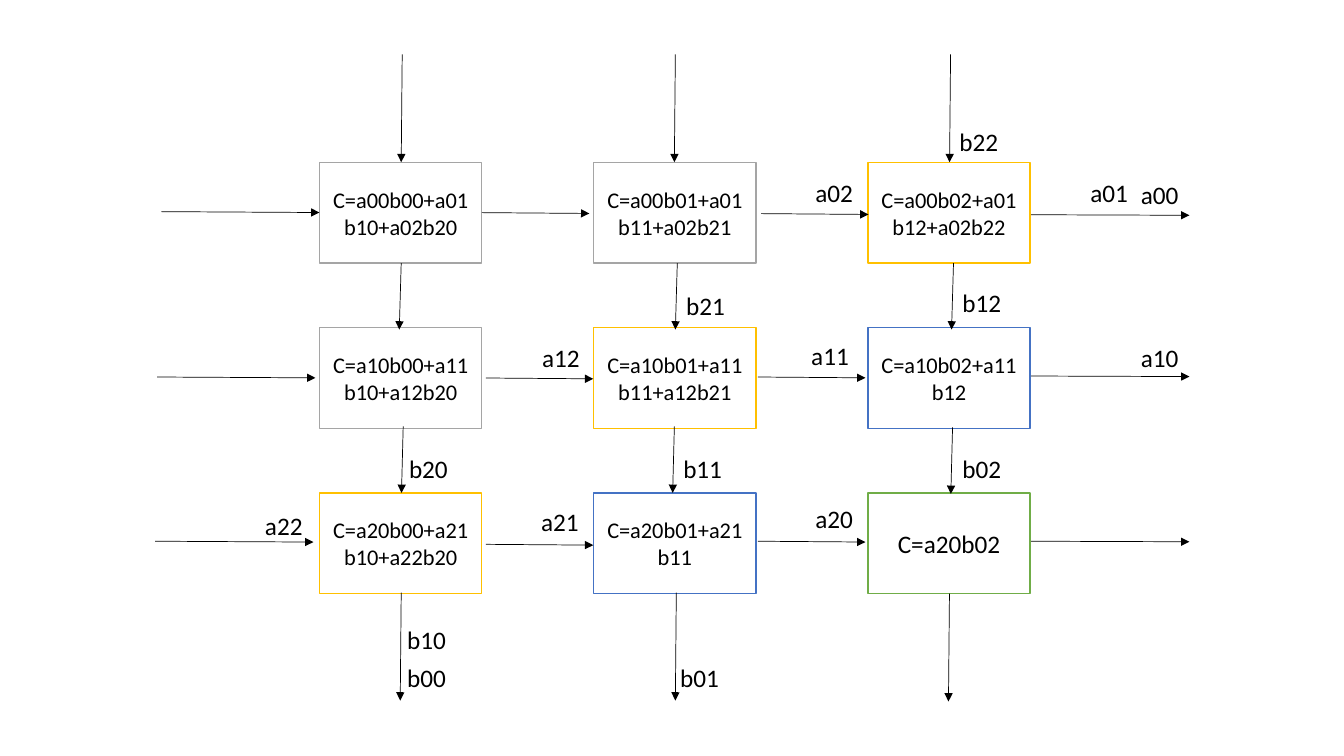
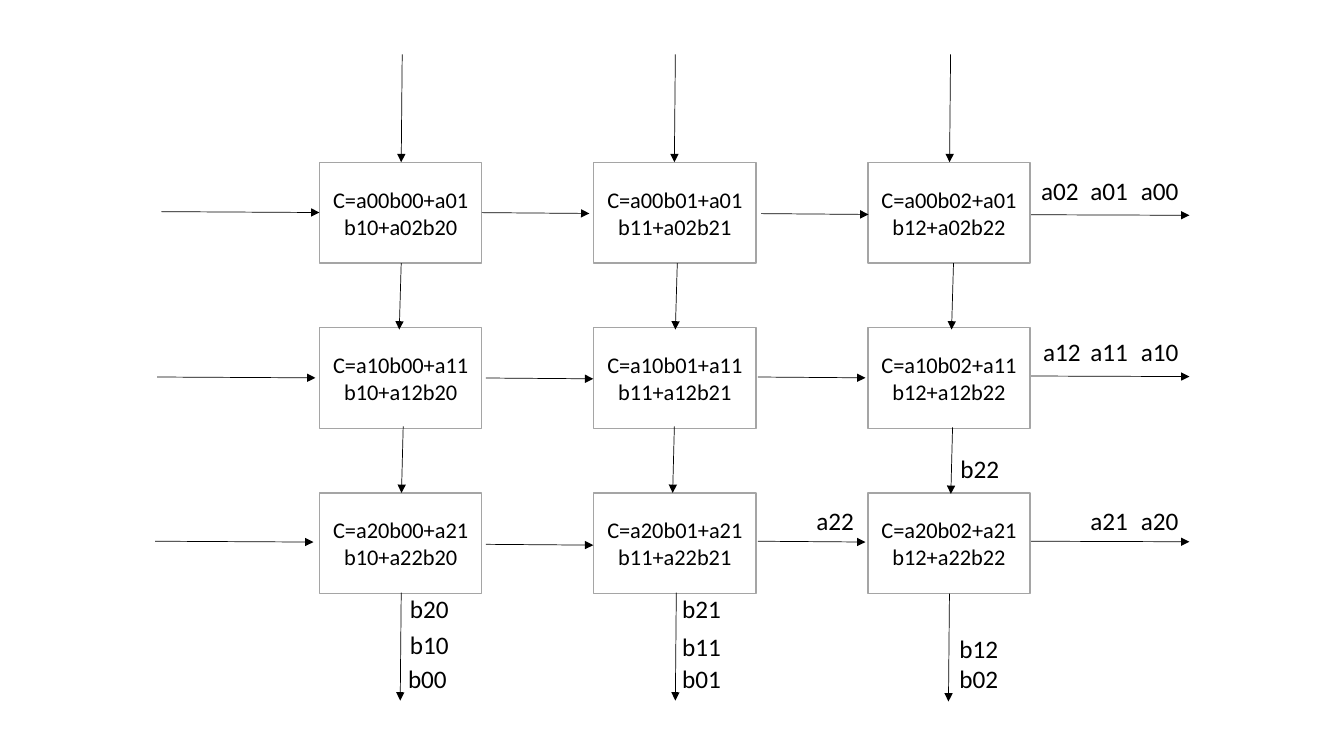
from lxml import etree
from pptx import Presentation, util as u
from pptx.dml.color import RGBColor
from pptx.enum import shapes, text
from pptx.oxml.ns import qn

BLACK = RGBColor(0x00, 0x00, 0x00)
WHITE = RGBColor(0xFF, 0xFF, 0xFF)
GRAY = RGBColor(0xA5, 0xA5, 0xA5)
YELLOW = RGBColor(0xFF, 0xC0, 0x00)
BLUE = RGBColor(0x44, 0x72, 0xC4)
GREEN = RGBColor(0x70, 0xAD, 0x47)

CELL_LEFT, CELL_TOP = 228.24, 115.92
CELL_WIDTH, CELL_HEIGHT = 115.92, 72
COLUMN_STEP, ROW_STEP = 195.84, 118.08
LABEL_WIDTH, LABEL_HEIGHT = 42, 29

CELL_FONT = {"name": "Calibri", "size": u.Pt(16)}
LARGE_FONT = {"name": "Calibri", "size": u.Pt(18)}
LABEL_FRAME = {"word_wrap": False, "auto_size": text.MSO_AUTO_SIZE.SHAPE_TO_FIT_TEXT}
CELL_FRAME = {"word_wrap": True, "vertical_anchor": text.MSO_ANCHOR.MIDDLE}

ROW_ARROW_STARTS = [
    [(115.2, 151.2), (344.2, 151.9), (543.6, 152.6), (736.6, 153.4)],
    [(112.3, 269.3), (347, 270), (541.4, 269.3), (736.6, 268.6)],
    [(110.9, 386.6), (347, 388.8), (541.4, 386.6), (736.6, 386.6)],
]
COLUMN_ARROW_STARTS = [
    [(287.3, 38.9), (286.6, 187.9), (288, 304.6), (286.6, 423.4)],
    [(482.4, 38.9), (483.8, 187.9), (481.7, 304.6), (483.1, 423.4)],
    [(679, 38.9), (681.1, 187.9), (680.4, 305.3), (678.2, 424.1)],
]
ROW_ARROW_MOVES = [(113, 0.6), (76.8, 0.6), (76.8, 0.6), (113, 0.4)]
COLUMN_ARROW_MOVES = [(-0.7, 77), (-1.4, 47.5), (-1.2, 47.5), (-0.7, 77)]
ARROWS = [
    (start, move)
    for lanes, moves in (
        (ROW_ARROW_STARTS, ROW_ARROW_MOVES),
        (COLUMN_ARROW_STARTS, COLUMN_ARROW_MOVES),
    )
    for lane in lanes
    for start, move in zip(lane, moves)
]

STAGES = [
    {
        "step": 5,
        "outlines": {2: YELLOW, 3: BLUE, 4: GREEN},
        "labels": {
            "a00": (807.8, 124.6), "a01": (771.8, 123.1), "a02": (575.3, 123.1),
            "a10": (807.8, 241.2), "a11": (572.4, 239.8), "a12": (380.2, 241.2),
            "a20": (575.3, 355.7), "a21": (379.4, 357.8), "a22": (182.2, 360.7),
            "b00": (283.7, 469.4), "b10": (283.7, 442.1), "b20": (285.1, 320.4),
            "b01": (478.8, 469.4), "b11": (481, 320.4), "b21": (483.1, 203.8),
            "b02": (680.4, 320.4), "b12": (680.4, 201.6), "b22": (678.2, 86.4),
        },
    },
    {
        "step": 7,
        "outlines": {},
        "labels": {
            "a00": (807.8, 121.7), "a01": (771.8, 121.7), "a02": (736.6, 121.7),
            "a10": (807.8, 236.9), "a11": (771.8, 236.9), "a12": (738, 236.9),
            "a20": (807.8, 357.1), "a21": (771.8, 357.1), "a22": (576, 357.1),
            "b00": (284.4, 470.2), "b10": (285.8, 445.7), "b20": (285.8, 420.5),
            "b01": (480.2, 470.2), "b11": (480.2, 447.1), "b21": (480.2, 420.5),
            "b02": (678.2, 470.2), "b12": (678.2, 448.6), "b22": (679, 320.4),
        },
    },
]


def write_text(shape, words, frame_format, font_format):
    frame = shape.text_frame
    for name, value in frame_format.items():
        setattr(frame, name, value)
    paragraph = frame.paragraphs[0]
    run = paragraph.add_run()
    run.text = words
    for name, value in font_format.items():
        setattr(run.font, name, value)
    run.font.color.rgb = BLACK
    return paragraph


def add_arrow(slide, start, move):
    x, y = start
    dx, dy = move
    arrow = slide.shapes.add_connector(
        shapes.MSO_CONNECTOR.STRAIGHT, u.Pt(x), u.Pt(y), u.Pt(x + dx), u.Pt(y + dy)
    )
    arrow.line.color.rgb = BLACK
    arrow.line.width = u.Pt(0.5)
    properties = arrow.line._get_or_add_ln()
    etree.SubElement(properties, qn("a:tailEnd"), type="triangle")
    etree.SubElement(arrow._element.spPr, qn("a:effectLst"))


presentation = Presentation()
presentation.slide_width = u.Pt(960)
presentation.slide_height = u.Pt(540)

for stage in STAGES:
    slide = presentation.slides.add_slide(presentation.slide_layouts[6])

    for row in range(3):
        for column in range(3):
            terms = min(3, stage["step"] - row - column)
            formula = "C=" + "+".join(f"a{row}{k}b{k}{column}" for k in range(terms))
            cell = slide.shapes.add_shape(
                shapes.MSO_SHAPE.RECTANGLE,
                u.Pt(CELL_LEFT + column * COLUMN_STEP),
                u.Pt(CELL_TOP + row * ROW_STEP),
                u.Pt(CELL_WIDTH),
                u.Pt(CELL_HEIGHT),
            )
            cell.shadow.inherit = False
            cell.fill.solid()
            cell.fill.fore_color.rgb = WHITE
            cell.line.color.rgb = stage["outlines"].get(row + column, GRAY)
            cell.line.width = u.Pt(1)
            font_format = LARGE_FONT if terms == 1 else CELL_FONT
            paragraph = write_text(cell, formula, CELL_FRAME, font_format)
            paragraph.alignment = text.PP_ALIGN.CENTER

    for start, move in ARROWS:
        add_arrow(slide, start, move)

    for name, (left, top) in stage["labels"].items():
        label = slide.shapes.add_textbox(
            u.Pt(left), u.Pt(top), u.Pt(LABEL_WIDTH), u.Pt(LABEL_HEIGHT)
        )
        write_text(label, name, LABEL_FRAME, LARGE_FONT)

presentation.save("out.pptx")
